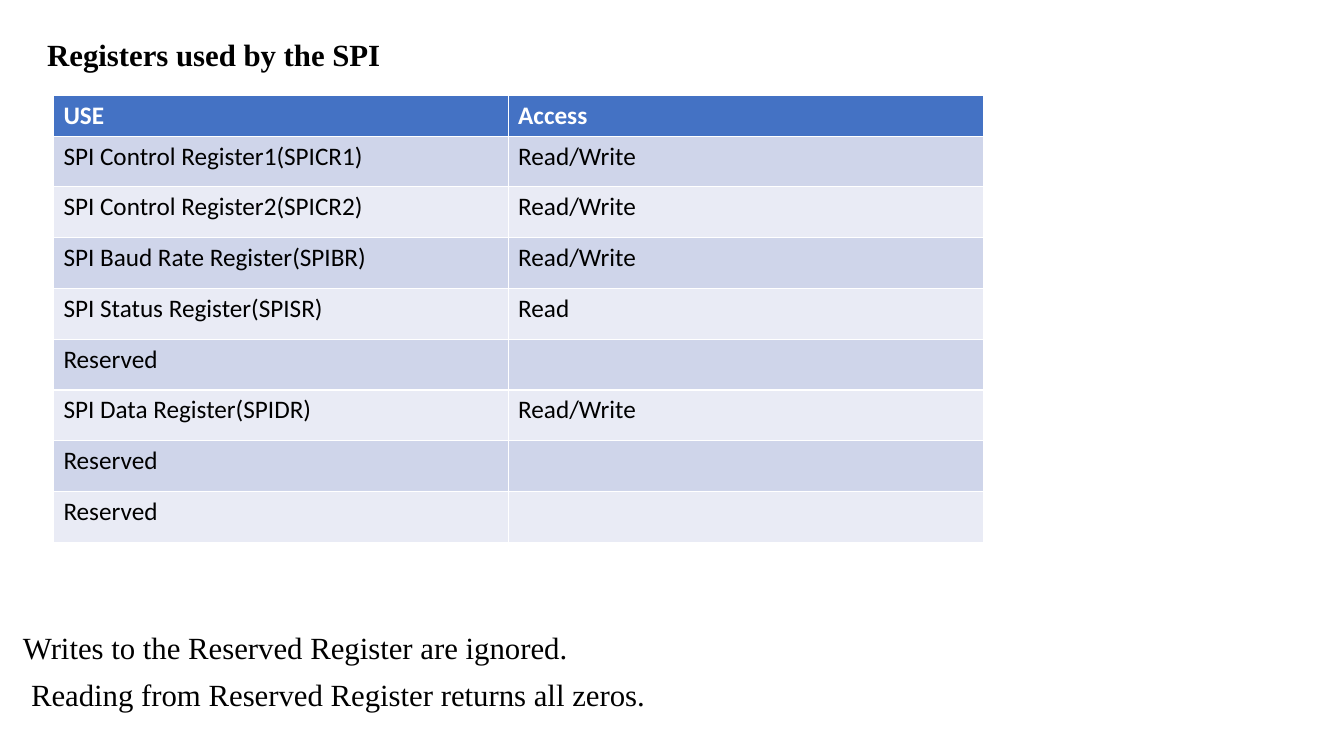
from pptx import Presentation
from pptx.dml.color import RGBColor
from pptx.util import Inches, Pt

BLACK = RGBColor(0x00, 0x00, 0x00)
WHITE = RGBColor(0xFF, 0xFF, 0xFF)
HEADER_BLUE = RGBColor(0x44, 0x72, 0xC4)
BAND_DARK = RGBColor(0xCF, 0xD5, 0xEA)
BAND_LIGHT = RGBColor(0xE9, 0xEB, 0xF5)

SERIF = "Times New Roman"
SANS = "Calibri"

COLUMN_WIDTHS = (4.51, 4.72)
HEADER_HEIGHT = 0.39
TABLE_HEIGHT = 4.42
REGISTERS = [
    ("USE", "Access"),
    ("SPI Control Register1(SPICR1)", "Read/Write"),
    ("SPI Control Register2(SPICR2)", "Read/Write"),
    ("SPI Baud Rate Register(SPIBR)", "Read/Write"),
    ("SPI Status Register(SPISR)", "Read"),
    ("Reserved", ""),
    ("SPI Data Register(SPIDR)", "Read/Write"),
    ("Reserved", ""),
    ("Reserved", ""),
]
NOTES = [
    "Writes to the Reserved Register are ignored.",
    "Reading from Reserved Register returns all zeros.",
]


def set_font(p, name, size, color, bold=False):
    p.font.name = name
    p.font.size = Pt(size)
    p.font.color.rgb = color
    p.font.bold = bold


def add_text_box(s, left, top, width, height, lines, bold=False):
    tf = s.shapes.add_textbox(
        Inches(left), Inches(top), Inches(width), Inches(height)
    ).text_frame
    tf.word_wrap = True
    for i, line in enumerate(lines):
        p = tf.add_paragraph() if i else tf.paragraphs[0]
        p.text = line
        set_font(p, SERIF, 22, BLACK, bold)
    return tf


def add_register_table(s, left, top):
    table = s.shapes.add_table(
        len(REGISTERS), len(COLUMN_WIDTHS), Inches(left), Inches(top),
        Inches(sum(COLUMN_WIDTHS)), Inches(TABLE_HEIGHT)
    ).table
    for column, width in zip(table.columns, COLUMN_WIDTHS):
        column.width = Inches(width)
    body_height = (TABLE_HEIGHT - HEADER_HEIGHT) / (len(REGISTERS) - 1)
    for i, values in enumerate(REGISTERS):
        header = i == 0
        table.rows[i].height = Inches(HEADER_HEIGHT if header else body_height)
        band = BAND_DARK if i % 2 else BAND_LIGHT
        for j, value in enumerate(values):
            cell = table.cell(i, j)
            cell.text = value
            cell.fill.solid()
            cell.fill.fore_color.rgb = HEADER_BLUE if header else band
            set_font(cell.text_frame.paragraphs[0], SANS, 18,
                     WHITE if header else BLACK, header)


def add_notes(s):
    tf = add_text_box(s, 0.13, 6.23, 12.2, 0.95, NOTES)
    for p in tf.paragraphs:
        p.line_spacing = 0.9
    second = tf.paragraphs[1]
    second.space_before = Pt(10)
    second._p.get_or_add_pPr().set("marL", str(Inches(0.08)))


def main():
    prs = Presentation()
    prs.slide_width = Inches(13.33)
    prs.slide_height = Inches(7.5)
    s = prs.slides.add_slide(prs.slide_layouts[6])
    add_notes(s)
    add_register_table(s, 0.53, 0.95)
    add_text_box(s, 0.37, 0.31, 6.17, 0.47, ["Registers used by the SPI"], bold=True)
    prs.save("out.pptx")


if __name__ == "__main__":
    main()
